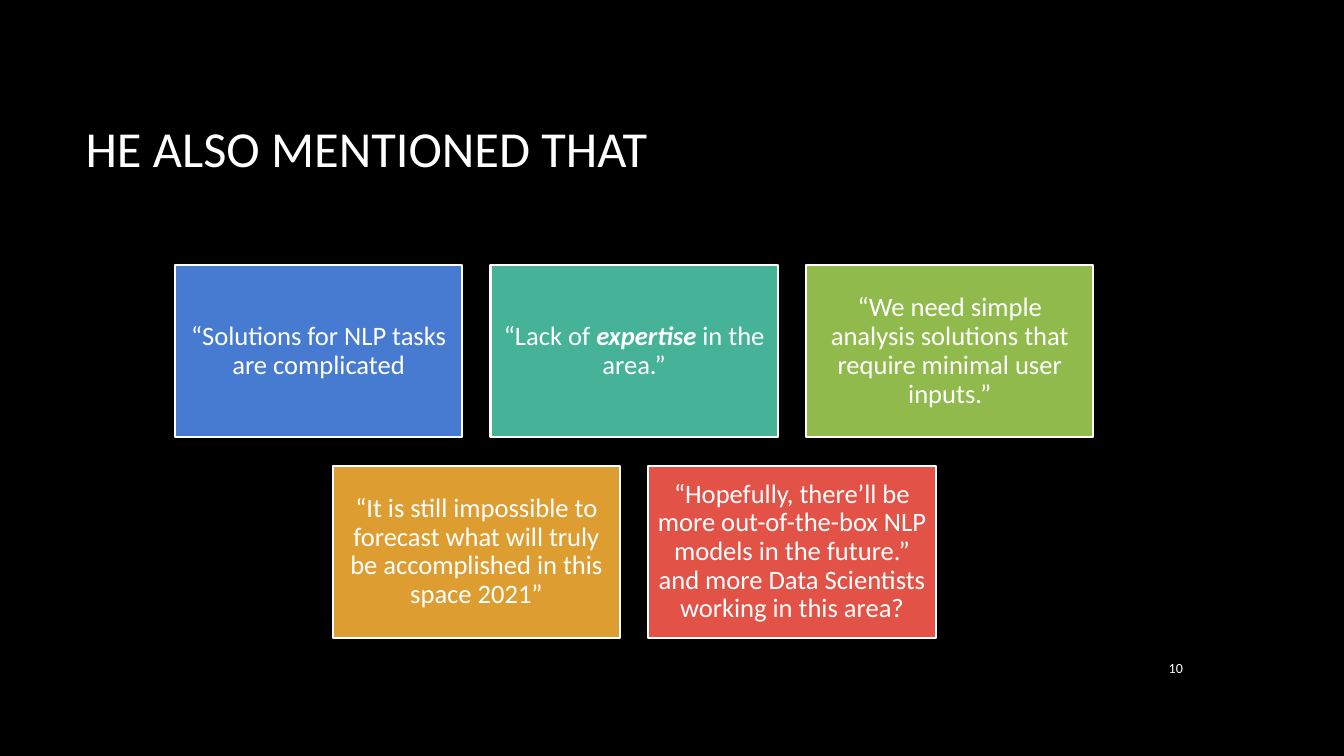
import pptx
import pptx.util
import pptx.dml.color
import pptx.enum.shapes
import pptx.enum.text

Inches = pptx.util.Inches
RGBColor = pptx.dml.color.RGBColor
ALIGN = pptx.enum.text.PP_ALIGN

BLACK = RGBColor(0x00, 0x00, 0x00)
WHITE = RGBColor(0xFF, 0xFF, 0xFF)
BLUE = RGBColor(0x47, 0x7B, 0xD1)
TEAL = RGBColor(0x46, 0xB2, 0x98)
GREEN = RGBColor(0x90, 0xBA, 0x4C)
ORANGE = RGBColor(0xDD, 0x9D, 0x31)
RED = RGBColor(0xE2, 0x52, 0x47)

FONT = "Calibri"
EMPHASIS = {"bold": True, "italic": True}

# Each card is a fill colour and its runs of (text, extra font format)
CARD_ROWS = [
    [
        (BLUE, [("“Solutions for NLP tasks are complicated", {})]),
        (TEAL, [("“Lack of ", {}), ("expertise ", EMPHASIS), ("in the area.”", {})]),
        (GREEN, [("“We need simple analysis solutions that require minimal user inputs.”", {})]),
    ],
    [
        (ORANGE, [("“It is still impossible to forecast what will truly be "
                   "accomplished in this space 2021”", {})]),
        (RED, [("“Hopefully, there’ll be more out-of-the-box NLP models in the future.” "
                "and more Data Scientists working in this area?", {})]),
    ],
]
CARD_WIDTH, CARD_HEIGHT = 2.85, 1.71
CARD_GAP = 0.28


def apply_format(target, values):
    for name, value in values.items():
        setattr(target, name, value)


def write_text(shape, runs, size, frame_format, paragraph_format):
    frame = shape.text_frame
    apply_format(frame, {"word_wrap": True,
                         "vertical_anchor": pptx.enum.text.MSO_ANCHOR.MIDDLE,
                         **frame_format})
    paragraph = frame.paragraphs[0]
    apply_format(paragraph, paragraph_format)
    for text, extra in runs:
        run = paragraph.add_run()
        run.text = text
        apply_format(run.font, {"name": FONT, "size": pptx.util.Pt(size), **extra})
        run.font.color.rgb = WHITE


def add_label(slide, box, text, size, alignment):
    shape = slide.shapes.add_textbox(*map(Inches, box))
    write_text(shape, [(text, {})], size, {}, {"alignment": alignment})


def add_card(slide, box, color, runs):
    card = slide.shapes.add_shape(pptx.enum.shapes.MSO_SHAPE.RECTANGLE, *map(Inches, box))
    card.shadow.inherit = False
    card.fill.solid()
    card.fill.fore_color.rgb = color
    card.line.color.rgb = WHITE
    card.line.width = pptx.util.Pt(1.5)
    margins = {f"margin_{side}": Inches(0.08) for side in ("left", "top", "right", "bottom")}
    write_text(card, runs, 19, margins, {"alignment": ALIGN.CENTER, "line_spacing": 0.9})


def add_card_grid(slide, box):
    left, top, width, _ = box
    for row_index, row in enumerate(CARD_ROWS):
        # Every row is centred in the box
        row_width = len(row) * (CARD_WIDTH + CARD_GAP) - CARD_GAP
        row_left = left + (width - row_width) / 2
        card_top = top + row_index * (CARD_HEIGHT + CARD_GAP)
        for column, (color, runs) in enumerate(row):
            card_left = row_left + column * (CARD_WIDTH + CARD_GAP)
            add_card(slide, (card_left, card_top, CARD_WIDTH, CARD_HEIGHT), color, runs)


def main():
    presentation = pptx.Presentation()
    apply_format(presentation, {"slide_width": Inches(13.33), "slide_height": Inches(7.5)})
    slide = presentation.slides.add_slide(presentation.slide_layouts[6])
    slide.background.fill.solid()
    slide.background.fill.fore_color.rgb = BLACK

    # Title
    add_label(slide, (0.75, 0.67, 11.08, 1.59), "HE ALSO MENTIONED THAT", 36, ALIGN.LEFT)
    # Quote cards
    add_card_grid(slide, (0.75, 2.63, 11.08, 3.7))
    # Slide number
    add_label(slide, (11.23, 6.42, 0.6, 0.41), "10", 10, ALIGN.RIGHT)

    presentation.save("out.pptx")


if __name__ == "__main__":
    main()
